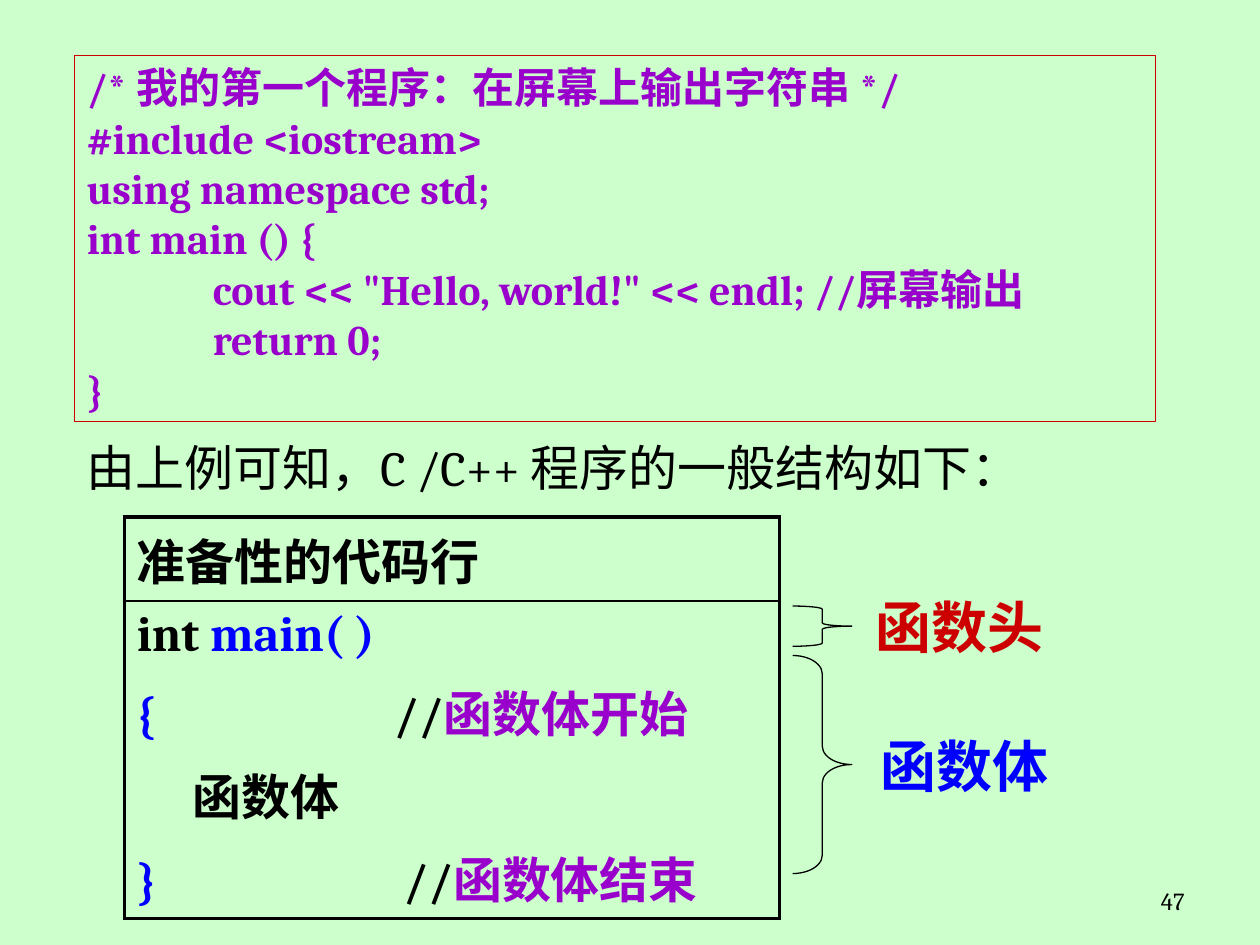
"""Builds a slide on the general structure of a C/C++ program."""
import pptx
import pptx.dml.color
import pptx.enum.shapes
import pptx.enum.text
import pptx.oxml
import pptx.oxml.ns
import pptx.util

Pt = pptx.util.Pt
ALIGN = pptx.enum.text.PP_ALIGN
ANCHOR = pptx.enum.text.MSO_ANCHOR
SHAPE = pptx.enum.shapes.MSO_SHAPE
COLORS = {"bg": "CCFFCC", "text": "000000", "red": "CC0000",
          "blue": "0000FF", "purple": "9900CC"}
FONT = "Cambria"
CODE = [
    "/* 我的第一个程序：在屏幕上输出字符串 */",
    "#include <iostream>",
    "using namespace std;",
    "int main () {",
    '\tcout << "Hello, world!" << endl; //屏幕输出',
    "\treturn 0;",
    "}",
]


def rgb(name):
    return pptx.dml.color.RGBColor.from_string(COLORS[name])


def add_run(p, text, size, color="text", bold=False):
    r = p.add_run()
    r.text = text
    r.font.name = FONT
    r.font.size = Pt(size)
    r.font.bold = bold
    r.font.color.rgb = rgb(color)


def add_paragraphs(tf, paragraphs, size, bold=False, align=ALIGN.LEFT, before=0):
    for i, runs in enumerate(paragraphs):
        p = tf.add_paragraph() if i else tf.paragraphs[0]
        p.alignment = align
        p.space_before = Pt(before)
        for text, color in runs:
            add_run(p, text, size, color, bold)


def add_text(s, box, text, size, color="text", bold=False, align=ALIGN.LEFT,
             wrap=True, anchor=ANCHOR.TOP):
    tf = s.shapes.add_textbox(*map(Pt, box)).text_frame
    tf.word_wrap = wrap
    tf.vertical_anchor = anchor
    add_paragraphs(tf, [[(text, color)]], size, bold, align)


def add_outline(s, kind, box, color):
    sp = s.shapes.add_shape(kind, *map(Pt, box))
    sp.shadow.inherit = False
    sp.fill.background()
    sp.line.color.rgb = rgb(color)
    sp.line.width = Pt(0.75)
    return sp


def set_tab(p, position):
    p._p.get_or_add_pPr().append(pptx.oxml.parse_xml(
        f'<a:tabLst {pptx.oxml.ns.nsdecls("a")}>'
        f'<a:tab pos="{Pt(position)}" algn="l"/></a:tabLst>'))


def add_code(s, box, lines):
    tf = add_outline(s, SHAPE.RECTANGLE, box, "red").text_frame
    tf.word_wrap = True
    tf.vertical_anchor = ANCHOR.TOP
    add_paragraphs(tf, [[(line, "purple")] for line in lines], 24, True)
    for p in tf.paragraphs:
        set_tab(p, 72)


def add_brace(s, box, curve):
    sp = add_outline(s, SHAPE.RIGHT_BRACE, box, "text")
    sp.adjustments[0] = curve
    sp.adjustments[1] = 0.5


def set_borders(cell, widths):
    tcPr = cell._tc.get_or_add_tcPr()
    for side, width in zip("LRTB", widths):
        tcPr.append(pptx.oxml.parse_xml(
            f'<a:ln{side} {pptx.oxml.ns.nsdecls("a")} w="{Pt(width)}"><a:solidFill>'
            f'<a:srgbClr val="{COLORS["text"]}"/></a:solidFill></a:ln{side}>'))


def add_structure_table(s):
    rows = [
        (48, (2.25, 2.25, 2.25, 1), [[("准备性的代码行", "text")]]),
        (181.5, (2.25, 2.25, 1, 2.25), [
            [("int ", "text"), ("main( )", "blue")],
            [("{", "blue"), ("\t//", "text"), ("函数体开始", "purple")],
            [("函数体", "text")],
            [("}", "blue"), ("\t//", "text"), ("函数体结束", "purple")],
        ]),
    ]
    total = sum(height for height, _, _ in rows)
    tbl = s.shapes.add_table(len(rows), 1, Pt(71), Pt(295.5), Pt(374.4), Pt(total)).table
    tbl.first_row = tbl.horz_banding = False
    for i, (height, widths, paragraphs) in enumerate(rows):
        tbl.rows[i].height = Pt(height)
        cell = tbl.cell(i, 0)
        set_borders(cell, widths)
        cell.fill.background()
        add_paragraphs(cell.text_frame, paragraphs, 28, True, before=7)
    start, body, end = cell.text_frame.paragraphs[1:]
    set_tab(start, 147)
    set_tab(end, 152.5)
    body._p.get_or_add_pPr().set("marL", str(Pt(32)))


def main():
    prs = pptx.Presentation()
    prs.slide_width, prs.slide_height = Pt(720), Pt(540)
    s = prs.slides.add_slide(prs.slide_layouts[6])
    s.background.fill.solid()
    s.background.fill.fore_color.rgb = rgb("bg")
    add_text(s, (516.2, 501.6, 167.8, 26.6), "47", 14, align=ALIGN.RIGHT,
             anchor=ANCHOR.MIDDLE)
    add_structure_table(s)
    add_text(s, (42.5, 246.5, 640.8, 43.2), "由上例可知，C /C++ 程序的一般结构如下：", 28)
    add_brace(s, (453, 346.3, 33.8, 23), 0.08)
    add_brace(s, (453, 374.6, 33.8, 124.6), 0.31)
    for left, top, text, color in ((493, 334.8, "函数头", "red"),
                                   (495.8, 414.7, "函数体", "blue")):
        add_text(s, (left, top, 110.9, 45.4), text, 32, color, True,
                 ALIGN.CENTER, wrap=False)
    add_code(s, (42.5, 31.7, 617.8, 209.3), CODE)
    prs.save("out.pptx")


if __name__ == "__main__":
    main()
